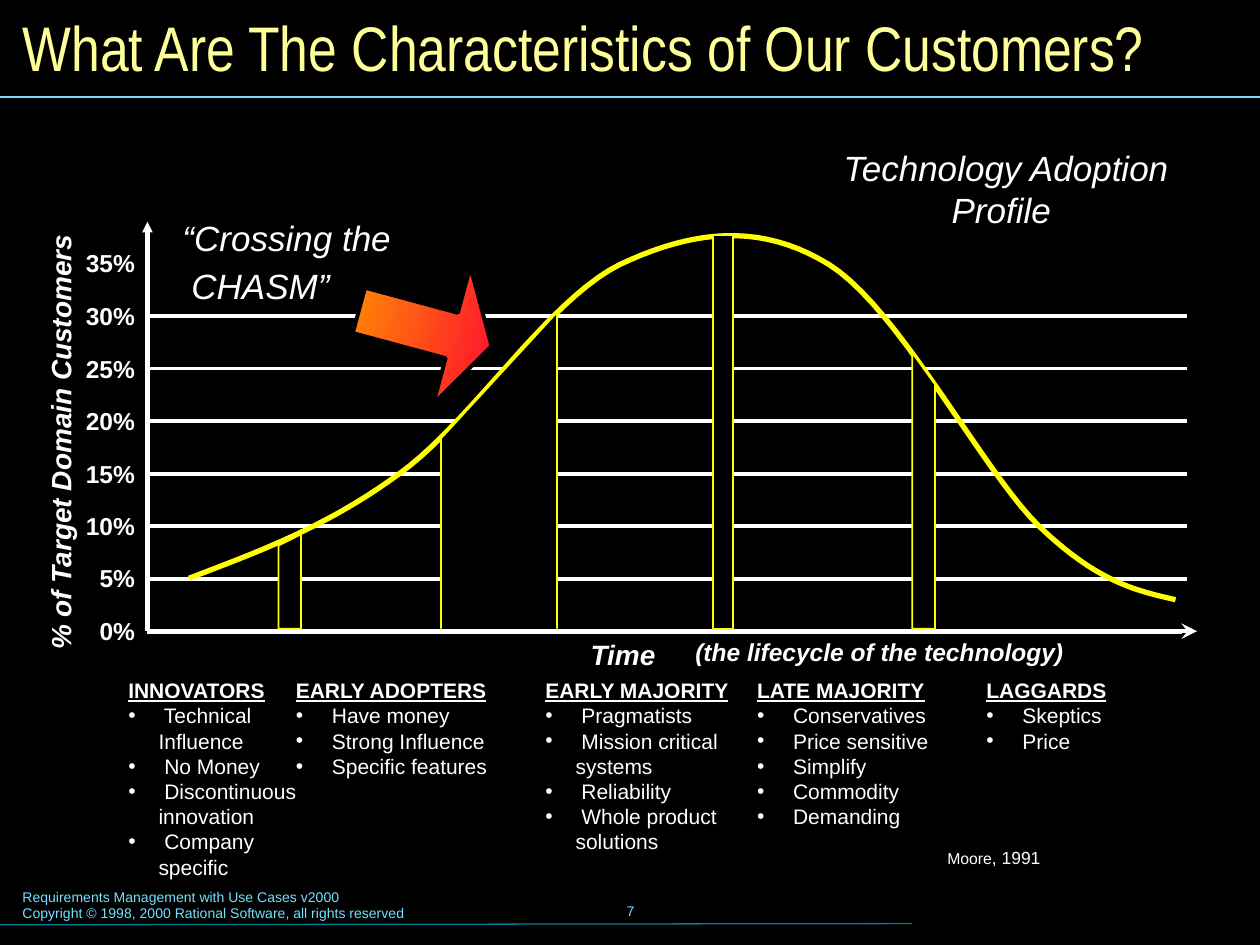
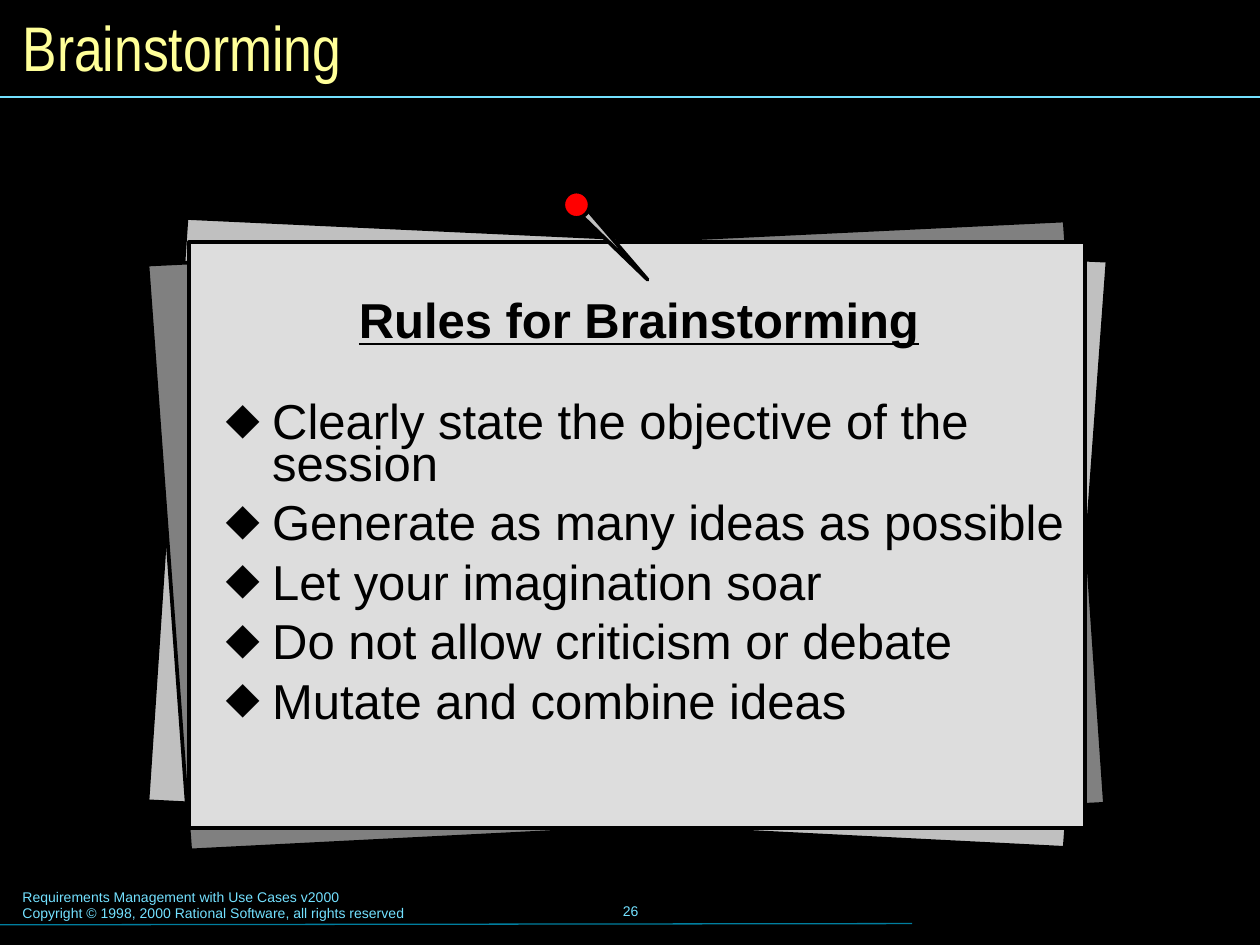
from lxml.etree import SubElement
from pptx import Presentation
from pptx.dml.color import RGBColor
from pptx.enum.shapes import MSO_CONNECTOR, MSO_SHAPE
from pptx.enum.text import MSO_ANCHOR, MSO_AUTO_SIZE, PP_ALIGN
from pptx.oxml.ns import qn
from pptx.util import Inches, Pt

WIDTH, HEIGHT = 10, 7.5
COLORS = {
    "black": "000000", "white": "FFFFFF", "title": "FFFF99", "sky": "73E1FF",
    "teal": "007E9F", "curve": "FFFF00", "red": "FF0000", "arrow tip": "FF0033",
    "arrow end": "FF9900", "sheet": "DDDDDD", "silver": "C0C0C0", "gray": "808080",
}
AXIS_X, AXIS_Y = 1.17, 5.01
GRID_RIGHT, BAR_FOOT = 9.42, 4.99
GRID_STEP = 2.5 / 6
PAPER_LINE = 2.13

CURVE_START = (1.5, 4.59)
CURVE_PARTS = [
    ((2.05, 4.38), (2.6, 4.18), (3.17, 3.76)),
    ((3.74, 3.35), (4.35, 2.38), (4.92, 2.1)),
    ((5.49, 1.83), (6.03, 1.76), (6.58, 2.1)),
    ((7.14, 2.45), (7.79, 3.73), (8.25, 4.18)),
    ((8.71, 4.62), (9.02, 4.69), (9.33, 4.76)),
]
# left, right, top at left, top at right, closed along the foot
GAPS = [
    (3.5, 4.42, 3.48, 2.48, False),
    (2.21, 2.39, 4.33, 4.24, True),
    (5.66, 5.82, 1.87, 1.87, True),
    (7.24, 7.42, 2.8, 3.05, True),
]
# left, width, heading, traits
SEGMENTS = [
    (0.92, 1.64, "INNOVATORS", ["Technical Influence", "No Money",
                                "Discontinuous innovation", "Company specific"]),
    (2.25, 1.8, "EARLY ADOPTERS", ["Have money", "Strong Influence", "Specific features"]),
    (4.23, 1.75, "EARLY MAJORITY", ["Pragmatists", "Mission critical systems",
                                    "Reliability", "Whole product solutions"]),
    (5.91, 1.58, "LATE MAJORITY", ["Conservatives", "Price sensitive", "Simplify",
                                   "Commodity", "Demanding"]),
    (7.73, 1.25, "LAGGARDS", ["Skeptics", "Price"]),
]
RULES = [
    "Clearly state the objective of the session",
    "Generate as many ideas as possible",
    "Let your imagination soar",
    "Do not allow criticism or debate",
    "Mutate and combine ideas",
]


def rgb(name):
    return RGBColor.from_string(COLORS[name])


def place(shape, box):
    shape.left, shape.top, shape.width, shape.height = map(Inches, box)


def set_font(font, size, color="white", name="Arial", bold=False, italic=False, underline=False):
    font.size, font.name = Pt(size), name
    font.bold, font.italic, font.underline = bold, italic, underline
    font.color.rgb = rgb(color)


def set_bullet(para, symbol, color, indent):
    """Hang the paragraph behind a coloured bullet."""
    props = para._p.get_or_add_pPr()
    props.set("marL", str(Inches(indent)))
    props.set("indent", str(-Inches(indent)))
    tint = SubElement(props, qn("a:buClr"))
    SubElement(tint, qn("a:srgbClr"), val=COLORS[color])
    SubElement(props, qn("a:buFont"), typeface="Arial")
    SubElement(props, qn("a:buChar"), char=symbol)


def add_text(page, box, text, size, wrap=False, align=PP_ALIGN.LEFT, **font):
    shape = page.shapes.add_textbox(*map(Inches, box))
    frame = shape.text_frame
    frame.word_wrap = wrap
    frame.text = text
    for para in frame.paragraphs:
        para.alignment = align
        set_font(para.font, size, **font)
    return shape


def add_line(page, start, end, color, width, head=None, head_size="med"):
    line = page.shapes.add_connector(MSO_CONNECTOR.STRAIGHT, *map(Inches, start + end))
    line.line.color.rgb = rgb(color)
    line.line.width = Pt(width)
    if head:
        SubElement(line.line._get_or_add_ln(), qn("a:tailEnd"),
                   type=head, w=head_size, len=head_size)
    SubElement(line._element.spPr, qn("a:effectLst"))


def paint(shape, fill, line, width):
    shape.shadow.inherit = False
    if fill:
        shape.fill.solid()
        shape.fill.fore_color.rgb = rgb(fill)
    else:
        shape.fill.background()
    shape.line.color.rgb = rgb(line)
    shape.line.width = Pt(width)


def add_shape(page, kind, box, fill, line="black", width=PAPER_LINE):
    shape = page.shapes.add_shape(kind, *map(Inches, box))
    paint(shape, fill, line, width)
    return shape


def add_outline(page, points, fill, line="black", width=PAPER_LINE, close=True):
    corners = [(Inches(x), Inches(y)) for x, y in points]
    builder = page.shapes.build_freeform(*corners[0])
    builder.add_line_segments(corners[1:], close=close)
    paint(builder.convert_to_shape(), fill, line, width)


def bezier_points(start, parts, steps=20):
    """Points along a chain of cubic curves."""
    points = [start]
    for first, second, end in parts:
        begin = points[-1]
        for step in range(1, steps + 1):
            t = step / steps
            u = 1 - t
            points.append(tuple(
                u**3 * a + 3 * u * u * t * b + 3 * u * t * t * c + t**3 * d
                for a, b, c, d in zip(begin, first, second, end)))
    return points


def add_page(deck, layout, title, number):
    """Add a slide with the shared title style, rules and footer."""
    page = deck.slides.add_slide(deck.slide_layouts[layout])
    heading = page.shapes.title
    place(heading, (0.08, 0.08, 9.84, 0.58))
    frame = heading.text_frame
    frame.text = title
    frame.auto_size = MSO_AUTO_SIZE.NONE
    frame.vertical_anchor = MSO_ANCHOR.MIDDLE
    frame.paragraphs[0].alignment = PP_ALIGN.LEFT
    set_font(frame.paragraphs[0].font, 36, "title", "Arial Narrow")

    add_text(page, (0.08, 7, 5.1, 0.37),
             "Requirements Management with Use Cases v2000\n"
             "Copyright © 1998, 2000 Rational Software, all rights reserved",
             8, wrap=True, color="sky")
    folio = add_text(page, (3.42, 6.98, 3.17, 0.5), str(number), 8,
                     align=PP_ALIGN.CENTER, color="sky")
    folio.text_frame.vertical_anchor = MSO_ANCHOR.MIDDLE
    add_line(page, (0, 7.34), (7.24, 7.33), "teal", 0.75)
    add_line(page, (0, 0.77), (WIDTH, 0.77), "sky", 0.75)
    return page


def add_axes(page):
    for row in range(8):
        y = AXIS_Y - row * GRID_STEP
        if row < 7:
            add_line(page, (AXIS_X, y), (GRID_RIGHT, y), "white", 2)
        add_text(page, (AXIS_X - 0.59, y - 0.17, 0.59, 0.34), f"{row * 5}%", 14,
                 align=PP_ALIGN.RIGHT, bold=True)
    add_line(page, (AXIS_X, AXIS_Y), (9.5, AXIS_Y), "white", 3, "stealth")
    add_line(page, (AXIS_X, AXIS_Y), (AXIS_X, 1.76), "white", 3, "triangle", "sm")
    add_text(page, (4.59, 5.01, 0.8, 0.37), "Time", 16, wrap=True, bold=True, italic=True)
    add_text(page, (5.42, 5.01, 3.5, 0.34), "(the lifecycle of the technology)", 14,
             wrap=True, bold=True, italic=True)
    scale = add_text(page, (-1.27, 3.32, 3.5, 0.37), "% of Target Domain Customers", 16,
                     bold=True, italic=True)
    scale.rotation = 270


def add_chasm_arrow(page):
    arrow = add_shape(page, MSO_SHAPE.DOWN_ARROW, (2.81, 2.06, 1.13, 1.09),
                      "arrow tip", width=2.25)
    arrow.rotation = 285.1
    arrow.adjustments[0], arrow.adjustments[1] = 0.33, 0.3
    arrow.fill.gradient()
    arrow.fill.gradient_angle = 90
    for stop, color in zip(arrow.fill.gradient_stops, ("arrow tip", "arrow end")):
        stop.color.rgb = rgb(color)
    add_text(page, (1.42, 2.05, 1.5, 0.44), "CHASM”", 20, wrap=True, italic=True)
    add_text(page, (1.35, 1.67, 2.3, 0.44), "“Crossing the", 20, wrap=True, italic=True)


def add_segment(page, left, width, heading, traits):
    height = 0.1 + 0.2 * (len(traits) + 1)
    shape = add_text(page, (left, 5.33, width, height), heading, 12, wrap=True,
                     bold=True, underline=True)
    for trait in traits:
        para = shape.text_frame.add_paragraph()
        para.text = f" {trait}"
        set_bullet(para, "•", "white", 0.24)
        set_font(para.font, 12)


def build_customers(deck):
    page = add_page(deck, 5, "What Are The Characteristics of Our Customers?", 7)
    add_axes(page)
    add_outline(page, bezier_points(CURVE_START, CURVE_PARTS), None, "curve", 3, close=False)
    add_chasm_arrow(page)
    for left, right, left_top, right_top, closed in GAPS:
        add_outline(page, [(left, BAR_FOOT), (left, left_top), (right, right_top),
                           (right, BAR_FOOT)], "black", "curve", 1, closed)
    add_text(page, (6.58, 1.11, 2.81, 0.77), "Technology Adoption\nProfile ", 20,
             align=PP_ALIGN.CENTER, italic=True)
    for segment in SEGMENTS:
        add_segment(page, *segment)
    source = add_text(page, (7.42, 6.67, 1.25, 0.27), "", 9, wrap=True)
    for text, size in (("Moore", 9), (", 1991", 10)):
        span = source.text_frame.paragraphs[0].add_run()
        span.text = text
        set_font(span.font, size)


def add_paper_stack(page):
    add_outline(page, [(1.48, 1.73), (8.79, 2.07), (8.45, 6.73), (1.17, 6.36)], "silver")
    add_outline(page, [(8.45, 1.75), (1.17, 2.1), (1.51, 6.75), (8.77, 6.38)], "gray")
    add_shape(page, MSO_SHAPE.RECTANGLE, (1.5, 1.92, 7.11, 4.65), "sheet")
    add_outline(page, [(4.56, 1.66), (5.14, 2.22), (4.59, 1.58)], "silver")
    add_shape(page, MSO_SHAPE.OVAL, (4.47, 1.52, 0.21, 0.21), "red")


def build_brainstorming(deck):
    page = add_page(deck, 1, "Brainstorming", 26)
    add_paper_stack(page)
    add_text(page, (2.75, 2.25, 4.9, 0.57), "Rules for Brainstorming", 28, wrap=True,
             color="black", bold=True, underline=True)
    body = page.placeholders[1]
    place(body, (1.67, 3.17, 7.01, 2.77))
    # keep the list in front of the paper
    page.shapes._spTree.append(body._element)
    frame = body.text_frame
    frame.text = "\n".join(RULES)
    frame.auto_size = MSO_AUTO_SIZE.NONE
    frame.margin_left = frame.margin_right = Inches(0.12)
    frame.margin_top = frame.margin_bottom = Inches(0.06)
    for index, para in enumerate(frame.paragraphs):
        para.line_spacing = 0.7
        para.space_before = Pt(10.5 if index else 0)
        set_bullet(para, "⬥", "black", 0.37)
        set_font(para.font, 28, "black")


def main():
    deck = Presentation()
    deck.slide_width, deck.slide_height = Inches(WIDTH), Inches(HEIGHT)
    backdrop = deck.slide_master.background.fill
    backdrop.solid()
    backdrop.fore_color.rgb = rgb("black")
    build_customers(deck)
    build_brainstorming(deck)
    deck.save("out.pptx")


if __name__ == "__main__":
    main()
